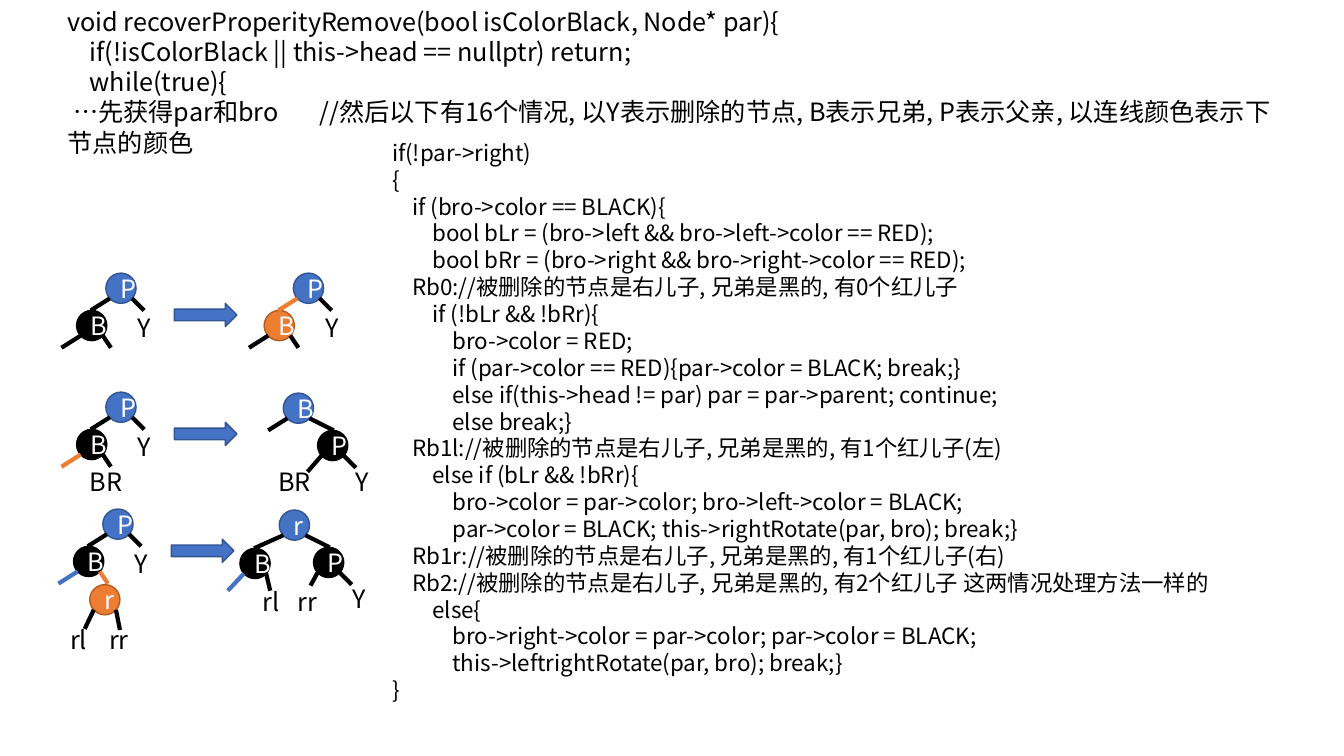
from dataclasses import dataclass
from lxml import etree
from pptx import Presentation
from pptx.dml.color import RGBColor
from pptx.enum.shapes import MSO_CONNECTOR, MSO_SHAPE
from pptx.enum.text import MSO_ANCHOR, PP_ALIGN
from pptx.oxml.ns import qn
from pptx.util import Inches, Pt

OVAL, ARROW = MSO_SHAPE.OVAL, MSO_SHAPE.RIGHT_ARROW
LINE = MSO_CONNECTOR.STRAIGHT
LEFT, CENTER = PP_ALIGN.LEFT, PP_ALIGN.CENTER
MIDDLE = MSO_ANCHOR.MIDDLE


@dataclass(frozen=True)
class Theme:
    font: str = "Noto Sans CJK SC"
    big: int = 18
    small: int = 16
    edge: int = 3
    rim: int = 1
    blue: str = "4472C4"
    black: str = "000000"
    orange: str = "ED7D31"
    white: str = "FFFFFF"


THEME = Theme()
RIMS = {THEME.blue: "325491", THEME.black: "000000", THEME.orange: "AF5C24"}
SIZE = 0.3
TAB = 2.5

INTRO = [
    (0, "void recoverProperityRemove(bool isColorBlack, Node* par){"),
    (1, "if(!isColorBlack || this->head == nullptr) return; "),
    (1, "while(true){"),
    (0, " …先获得par和bro\t//然后以下有16个情况, 以Y表示删除的节点, B表示兄弟, "
        "P表示父亲, 以连线颜色表示下节点的颜色"),
]
CODE = [
    (0, "if(!par->right)"),
    (0, "{"),
    (1, "if (bro->color == BLACK){"),
    (2, "bool bLr = (bro->left && bro->left->color == RED);"),
    (2, "bool bRr = (bro->right && bro->right->color == RED);"),
    (1, "Rb0://被删除的节点是右儿子, 兄弟是黑的, 有0个红儿子"),
    (2, "if (!bLr && !bRr){"),
    (3, "bro->color = RED;"),
    (3, "if (par->color == RED){par->color = BLACK; break;}"),
    (3, "else if(this->head != par) par = par->parent; continue;"),
    (3, "else break;}"),
    (1, "Rb1l://被删除的节点是右儿子, 兄弟是黑的, 有1个红儿子(左)"),
    (2, "else if (bLr && !bRr){"),
    (3, "bro->color = par->color; bro->left->color = BLACK; "),
    (3, "par->color = BLACK; this->rightRotate(par, bro); break;}"),
    (1, "Rb1r://被删除的节点是右儿子, 兄弟是黑的, 有1个红儿子(右)"),
    (1, "Rb2://被删除的节点是右儿子, 兄弟是黑的, 有2个红儿子 这两情况处理方法一样的"),
    (2, "else{"),
    (3, "bro->right->color = par->color; par->color = BLACK;"),
    (3, "this->leftrightRotate(par, bro); break;} "),
    (0, "}"),
]


def paint(fmt, color):
    fmt.solid()
    fmt.fore_color.rgb = RGBColor.from_string(color)


def style(para, size, color, align):
    para.alignment = align
    para.font.name = THEME.font
    para.font.size = Pt(size)
    para.font.color.rgb = RGBColor.from_string(color)
    props = para.font._element
    etree.SubElement(props, qn("a:ea")).set("typeface", THEME.font)


def indent(para, depth, step):
    props = para._p.get_or_add_pPr()
    props.set("marL", str(Inches(depth * step)))
    props.set("indent", "0")
    if "\t" in para.text:
        stops = etree.Element(qn("a:tabLst"))
        stop = etree.SubElement(stops, qn("a:tab"))
        stop.set("pos", str(Inches(TAB)))
        stop.set("algn", "l")
        props.insert(0, stops)


def block(shapes, box, lines, size, step=0, align=LEFT):
    frame = shapes.add_textbox(*map(Inches, box)).text_frame
    frame.word_wrap = True
    for num, (depth, text) in enumerate(lines):
        para = frame.add_paragraph() if num else frame.paragraphs[0]
        para.text = text
        indent(para, depth, step)
        style(para, size, THEME.black, align)


def label(shapes, x, y, text):
    block(shapes, (x, y, 0.62, 0.4), [(0, text)], THEME.big, align=CENTER)


def solid(shapes, kind, box, color):
    shape = shapes.add_shape(kind, *map(Inches, box))
    shape.shadow.inherit = False
    paint(shape.fill, color)
    paint(shape.line.fill, RIMS[color])
    shape.line.width = Pt(THEME.rim)
    return shape


def node(shapes, x, y, text, color):
    frame = solid(shapes, OVAL, (x, y, SIZE, SIZE), color).text_frame
    frame.vertical_anchor = MIDDLE
    frame.paragraphs[0].text = text
    style(frame.paragraphs[0], THEME.big, THEME.white, CENTER)


def leg(shapes, x, y, side, dx, dy=0.12, color=THEME.black):
    x, y = x + SIZE / 2 + side * 0.11, y + 0.25
    ends = map(Inches, (x, y, x + side * dx, y + dy))
    line = shapes.add_connector(LINE, *ends)
    paint(line.line.fill, color)
    line.line.width = Pt(THEME.edge)
    etree.SubElement(line._element.spPr, qn("a:effectLst"))


def before(slide, x, y, bro=THEME.black, link=THEME.black, left=THEME.black,
           right=THEME.black):
    shapes = slide.shapes.add_group_shape().shapes
    bx, by = x - 0.29, y + 0.37
    node(shapes, x, y, "P", THEME.blue)
    node(shapes, bx, by, "B", bro)
    leg(shapes, x, y, -1, 0.19, color=link)
    leg(shapes, x, y, 1, 0.12)
    leg(shapes, bx, by, -1, 0.19, color=left)
    leg(shapes, bx, by, 1, 0.08, color=right)
    label(shapes, x + 0.07, y + 0.34, "Y")
    return shapes


def after(slide, x, y, top, reach, drop, span, fall):
    shapes = slide.shapes.add_group_shape().shapes
    px, py = x + 0.34, y + 0.37
    node(shapes, px, py, "P", THEME.black)
    node(shapes, x, y, top, THEME.blue)
    leg(shapes, x, y, 1, 0.24)
    leg(shapes, px, py, 1, 0.12)
    leg(shapes, x, y, -1, reach, drop)
    leg(shapes, px, py, -1, span, fall)
    return shapes


def main():
    deck = Presentation()
    deck.slide_width, deck.slide_height = Inches(13.33), Inches(7.5)
    slide = deck.slides.add_slide(deck.slide_layouts[6])
    block(slide.shapes, (0.57, 0.01, 12.19, 1.62), INTRO, THEME.big, 0.22)
    block(slide.shapes, (3.79, 1.33, 9, 5.76), CODE, THEME.small, 0.2)

    for x, y in ((1.73, 3.01), (1.73, 4.19), (1.7, 5.35)):
        solid(slide.shapes, ARROW, (x, y, 0.62, 0.23), THEME.blue)

    before(slide, 1.05, 2.71)
    before(slide, 2.91, 2.71, bro=THEME.orange, link=THEME.orange)

    tree = before(slide, 1.05, 3.89, left=THEME.orange)
    label(tree, 0.74, 4.58, "BR")
    tree = after(slide, 2.81, 3.9, "B", 0.19, 0.12, 0.14, 0.16)
    label(tree, 3.28, 4.58, "Y")
    label(tree, 2.61, 4.58, "BR")

    tree = before(slide, 1.02, 5.05, left=THEME.blue, right=THEME.orange)
    node(tree, 0.89, 5.8, "r", THEME.orange)
    label(tree, 0.47, 6.14, "rl")
    label(tree, 0.87, 6.14, "rr")
    leg(tree, 0.89, 5.8, -1, 0.09, 0.19)
    leg(tree, 0.89, 5.8, 1, 0.04, 0.2)

    tree = after(slide, 2.77, 5.06, "r", 0.29, 0.13, 0.07, 0.13)
    label(tree, 3.25, 5.74, "Y")
    label(tree, 2.74, 5.77, "rr")
    node(tree, 2.38, 5.44, "B", THEME.black)
    label(tree, 2.38, 5.77, "rl")
    leg(tree, 2.38, 5.44, -1, 0.16, 0.17, THEME.blue)
    leg(tree, 2.38, 5.44, 1, 0.04, 0.17)

    deck.save("out.pptx")


main()
